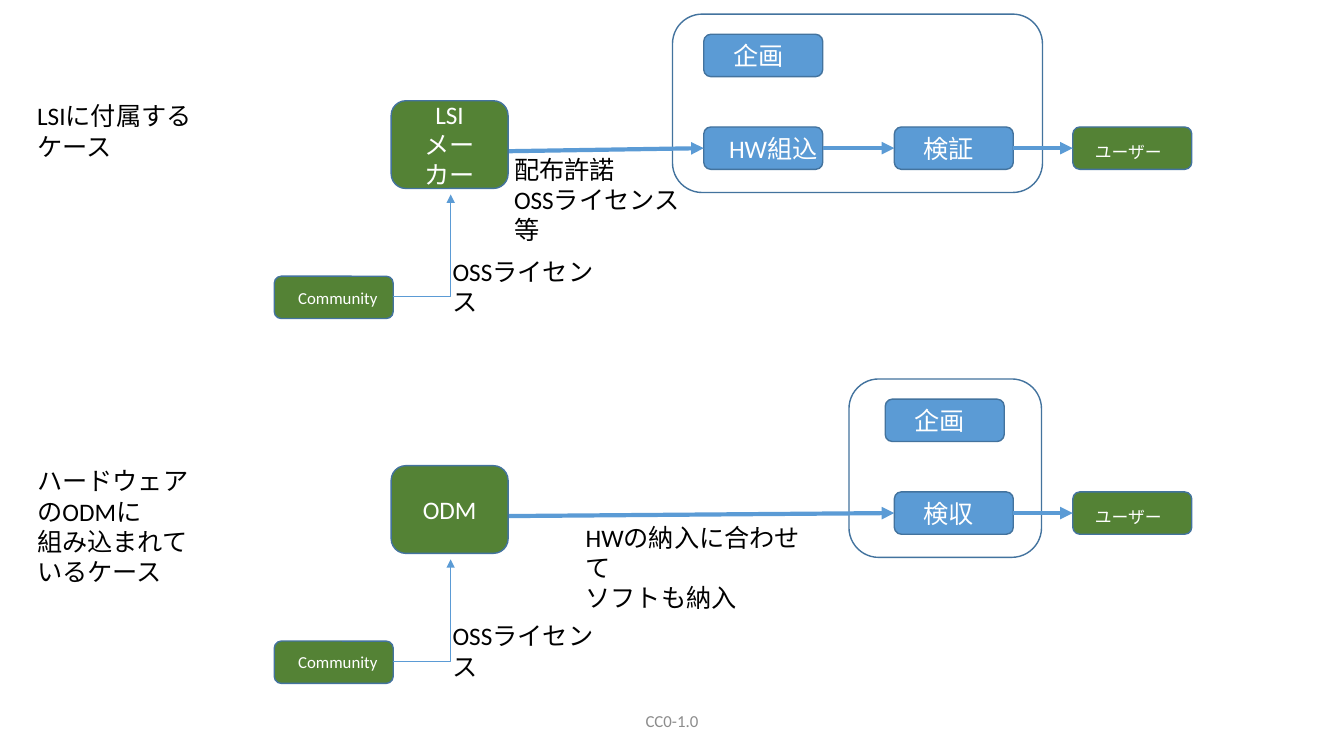
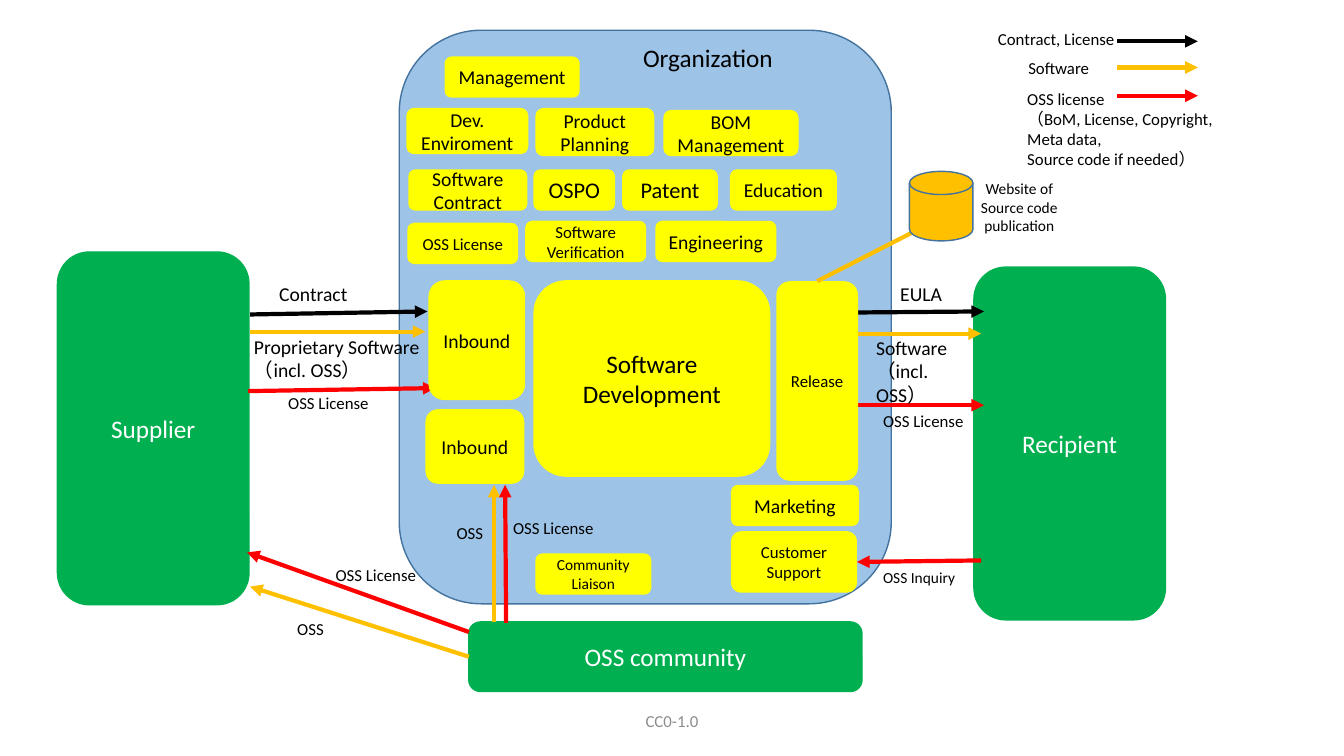
from pptx import Presentation
from pptx.dml.color import RGBColor
from pptx.enum.shapes import MSO_CONNECTOR, MSO_SHAPE
from pptx.enum.text import MSO_ANCHOR, PP_ALIGN
from pptx.oxml.ns import qn
from pptx.util import Inches, Pt
from lxml import etree

ROUNDED = MSO_SHAPE.ROUNDED_RECTANGLE
DISK = MSO_SHAPE.FLOWCHART_MAGNETIC_DISK
STRAIGHT, ELBOW = MSO_CONNECTOR.STRAIGHT, MSO_CONNECTOR.ELBOW
LEFT, CENTER = PP_ALIGN.LEFT, PP_ALIGN.CENTER
TOP, MIDDLE = MSO_ANCHOR.TOP, MSO_ANCHOR.MIDDLE
SIDE_TOP, SIDE_LEFT, SIDE_RIGHT = 0, 1, 3

COLORS = {
    "white": "FFFFFF", "black": "000000", "gray": "8C8C8C",
    "blue": "5B9BD5", "outline": "43739E", "olive": "548235",
    "green": "00B050", "sky": "9DC3E6", "yellow": "FFFF00",
    "orange": "FFC000", "red": "FF0000",
}
FONT = "Calibri"
FOOTER = "CC0-1.0"
NODE_WIDTH, NODE_HEIGHT = 1.18, 0.42
ROOM_HEIGHT = 0.41


def color(name):
    return RGBColor.from_string(COLORS[name])


def write_text(shape, text, size, ink, align, anchor, insets=None):
    frame = shape.text_frame
    settings = {"word_wrap": True, "vertical_anchor": anchor}
    if insets:
        sides = ("margin_left", "margin_top", "margin_right")
        settings.update(zip(sides, map(Inches, insets)))
    for name, value in settings.items():
        setattr(frame, name, value)
    for index, line in enumerate(text.split("\n")):
        paragraph = frame.add_paragraph() if index else frame.paragraphs[0]
        paragraph.alignment = align
        run = paragraph.add_run()
        run.text = line
        for name, value in {"name": FONT, "size": Pt(size)}.items():
            setattr(run.font, name, value)
        run.font.color.rgb = color(ink)


def add_label(slide, box, text, size=18, ink="black", align=LEFT, anchor=TOP):
    shape = slide.shapes.add_textbox(*map(Inches, box))
    write_text(shape, text, size, ink, align, anchor)


def add_box(slide, box, fill=None, line="outline", text="", size=18,
            ink="white", insets=None, kind=ROUNDED):
    shape = slide.shapes.add_shape(kind, *map(Inches, box))
    shape.shadow.inherit = False
    if fill:
        shape.fill.solid()
        shape.fill.fore_color.rgb = color(fill)
    else:
        shape.fill.background()
    if line:
        shape.line.color.rgb = color(line)
        shape.line.width = Pt(1)
    else:
        shape.line.fill.background()
    if text:
        write_text(shape, text, size, ink, CENTER, MIDDLE, insets)
    return shape


def add_arrow(slide, ends, ink="blue", width=3, kind=STRAIGHT, begin=None, end=None):
    connector = slide.shapes.add_connector(kind, *map(Inches, ends))
    if begin:
        connector.begin_connect(*begin)
    if end:
        connector.end_connect(*end)
    connector.line.color.rgb = color(ink)
    connector.line.width = Pt(width)
    properties = connector._element.spPr
    line = properties.find(qn("a:ln"))
    etree.SubElement(line, qn("a:tailEnd"), type="triangle")
    etree.SubElement(properties, qn("a:effectLst"))
    if kind == ELBOW:
        properties.find(qn("a:prstGeom")).set("prst", "bentConnector2")
    return connector


def add_slide(presentation):
    slide = presentation.slides.add_slide(presentation.slide_layouts[6])
    add_label(slide, (5.08, 6.95, 3.17, 0.4), FOOTER, 12, "gray", CENTER, MIDDLE)
    return slide


def draw_case(slide, top, case):
    def node(left, offset, fill, text, size, insets):
        box = (left, top + offset, NODE_WIDTH, NODE_HEIGHT)
        return add_box(slide, box, fill, text=text, size=size, insets=insets)

    frame_left, frame_width = case["frame"]
    add_box(slide, (frame_left, top, frame_width, 1.77))
    add_label(slide, (0.27, top + 0.81, 1.75, 1.31), case["heading"])
    add_box(slide, (3.88, top + 0.86, 1.16, 0.87), "olive", text=case["maker"])
    node(2.72, 2.6, "olive", "Community", 12, (0.18, 0.05, 0.1))
    node(case["plan"], 0.2, "blue", "企画", 18, (0, 0.05, 0.1))

    steps = [node(left, 1.12, "blue", text, 18, insets)
             for left, text, insets in case["steps"]]
    steps.append(node(10.64, 1.12, "olive", "ユーザー", 12, (0.02, 0.13, 0.1)))
    middle = top + 1.12 + NODE_HEIGHT / 2
    add_arrow(slide, (5.05, top + 1.36, case["steps"][0][0], middle),
              end=(steps[0], SIDE_LEFT))
    for start, finish in zip(steps, steps[1:]):
        add_arrow(slide, (0, 0, 0, 0), begin=(start, SIDE_RIGHT),
                  end=(finish, SIDE_LEFT))

    add_arrow(slide, (3.9, top + 2.8, 4.47, top + 1.79), width=0.5, kind=ELBOW)
    add_label(slide, (4.39, top + 2.35, 1.69, 0.4), "OSSライセンス")
    left, offset, width = case["delivery"]
    add_label(slide, (left, top + offset, width, 0.71), case["delivery_text"])


def draw_flows(slide, left, top, arrows, labels):
    for ink, x1, y1, x2, y2 in arrows:
        add_arrow(slide, (left + x1, top + y1, left + x2, top + y2), ink)
    for x, y, width, height, text, size in labels:
        add_label(slide, (left + x, top + y, width, height), text, size)


def draw_parties(slide):
    add_box(slide, (3.96, 0.3, 4.88, 5.69), "sky")
    parties = {
        "Supplier": (0.57, 2.5, 1.9, 3.5),
        "Recipient": (9.66, 2.65, 1.9, 3.5),
        "OSS community": (4.65, 6.17, 3.9, 0.69),
    }
    return {name: add_box(slide, box, "green", "green", name)
            for name, box in parties.items()}


def draw_rooms(slide, left, top):
    add_label(slide, (left + 2.32, top + 0.07, 1.64, 0.4), "Organization")
    return {text: add_box(slide, (left + x, top + y, width, height), "yellow",
                          None, text, size, "black")
            for x, y, width, height, text, size in ROOMS}


def draw_website(slide, left, top, release):
    add_arrow(slide, (0, 0, left + 0.51, top + 0.36), "orange",
              begin=(release, SIDE_TOP))
    add_box(slide, (left, top, 0.63, 0.69), "orange", kind=DISK)
    add_label(slide, (left + 0.51, top + 0.03, 1.16, 0.66),
              "Website of Source code publication", 11, align=CENTER)


CASES = [
    {
        "heading": "LSIに付属するケース",
        "maker": "LSI\nメーカー",
        "frame": (6.67, 3.67),
        "plan": 6.98,
        "steps": [(6.98, "HW組込", (0.2, 0.05, 0)), (8.87, "検証", (0, 0.05, 0.1))],
        "delivery": (5, 1.34, 1.94),
        "delivery_text": "配布許諾\nOSSライセンス等",
    },
    {
        "heading": "ハードウェア\nのODMに\n組み込まれているケース",
        "maker": "ODM",
        "frame": (8.42, 1.91),
        "plan": 8.78,
        "steps": [(8.87, "検収", (0, 0.05, 0.1))],
        "delivery": (5.71, 1.37, 2.4),
        "delivery_text": "HWの納入に合わせて\nソフトも納入",
    },
]

ROOMS = [
    (0.45, 0.26, 1.34, ROOM_HEIGHT, "Management", 14),
    (0.07, 0.77, 1.21, 0.46, "Dev. Enviroment", 14),
    (1.35, 0.77, 1.18, 0.48, "Product Planning", 14),
    (2.62, 0.79, 1.34, 0.46, "BOM\nManagement", 14),
    (0.09, 1.38, 1.18, ROOM_HEIGHT, "Software Contract", 14),
    (1.33, 1.38, 0.81, ROOM_HEIGHT, "OSPO", 16),
    (2.21, 1.38, 0.95, ROOM_HEIGHT, "Patent", 16),
    (3.28, 1.38, 1.06, ROOM_HEIGHT, "Education", 14),
    (0.08, 1.91, 1.1, ROOM_HEIGHT, "OSS License", 12),
    (1.25, 1.89, 1.2, ROOM_HEIGHT, "Software Verification", 12),
    (2.54, 1.89, 1.2, ROOM_HEIGHT, "Engineering", 14),
    (0.29, 2.48, 0.96, 1.19, "Inbound", 14),
    (0.26, 3.76, 0.98, 0.74, "Inbound", 14),
    (1.33, 2.48, 2.35, 1.95, "Software Development", 18),
    (3.74, 2.49, 0.81, 1.98, "Release", 12),
    (3.29, 4.51, 1.27, ROOM_HEIGHT, "Marketing", 14),
    (3.29, 4.97, 1.25, 0.61, "Customer Support", 12),
    (1.35, 5.19, 1.15, ROOM_HEIGHT, "Community Liaison", 11),
]

SUPPLIER_FLOWS = {
    "arrows": [("black", 0.06, 0.37, 1.82, 0.34), ("orange", 0.06, 0.54, 1.8, 0.54),
               ("red", 0.04, 1.13, 1.9, 1.1)],
    "labels": [(0.25, 0, 0.89, 0.34, "Contract", 14),
               (0, 0.52, 1.86, 0.57, "Proprietary Software\n（incl. OSS）", 14),
               (0.34, 1.1, 1.01, 0.3, "OSS License", 12)],
}
RECIPIENT_FLOWS = {
    "arrows": [("black", 0.02, 0.35, 1.28, 0.34), ("orange", 0, 0.56, 1.25, 0.56),
               ("red", 0.03, 1.27, 1.28, 1.27)],
    "labels": [(0.35, 0, 0.62, 0.34, "EULA", 14),
               (0.11, 0.53, 1.12, 0.57, "Software\n（incl. OSS）", 14),
               (0.18, 1.28, 1.01, 0.3, "OSS License", 12),
               (0.18, 2.84, 0.94, 0.29, "OSS Inquiry", 11)],
}
COMMUNITY_FLOWS = {
    "arrows": [("orange", 2.45, 1.36, 2.45, 0), ("red", 2.57, 1.37, 2.56, 0),
               ("red", 2.2, 1.46, 0, 0.67)],
    "labels": [(1.98, 0.33, 0.47, 0.3, "OSS", 12),
               (2.54, 0.28, 1.01, 0.3, "OSS License", 12),
               (0.78, 0.74, 1.01, 0.3, "OSS License", 12),
               (0.4, 1.28, 0.47, 0.3, "OSS", 12)],
}
LEGEND = {
    "arrows": [("black", 1.28, 0.17, 2.08, 0.17), ("orange", 1.28, 0.43, 2.08, 0.43),
               ("red", 1.28, 0.71, 2.08, 0.71)],
    "labels": [(0, 0, 1.37, 0.3, "Contract, License", 12),
               (0.3, 0.28, 0.81, 0.3, "Software", 12),
               (0.29, 0.59, 2.07, 0.91, "OSS license\n（BoM, License, Copyright, "
                "Meta data,\nSource code if needed）", 12)],
}


def build_cases_slide(presentation):
    slide = add_slide(presentation)
    for index, case in enumerate(CASES):
        draw_case(slide, 0.14 + 3.62 * index, case)


def build_organization_slide(presentation):
    slide = add_slide(presentation)
    parties = draw_parties(slide)
    draw_flows(slide, 2.42, 2.75, **SUPPLIER_FLOWS)
    draw_flows(slide, 8.48, 2.75, **RECIPIENT_FLOWS)
    draw_flows(slide, 2.45, 4.81, **COMMUNITY_FLOWS)
    draw_flows(slide, 9.8, 0.24, **LEGEND)
    rooms = draw_rooms(slide, 3.96, 0.3)
    draw_website(slide, 9.02, 1.7, rooms["Release"])
    add_arrow(slide, (9.73, 5.56, 8.5, 5.57), "red",
              end=(rooms["Customer Support"], SIDE_RIGHT))
    add_arrow(slide, (4.65, 6.51, 2.48, 5.82), "orange",
              begin=(parties["OSS community"], SIDE_LEFT))


def main():
    presentation = Presentation()
    presentation.slide_width = Inches(13.33)
    presentation.slide_height = Inches(7.5)
    build_cases_slide(presentation)
    build_organization_slide(presentation)
    presentation.save("out.pptx")


if __name__ == "__main__":
    main()
